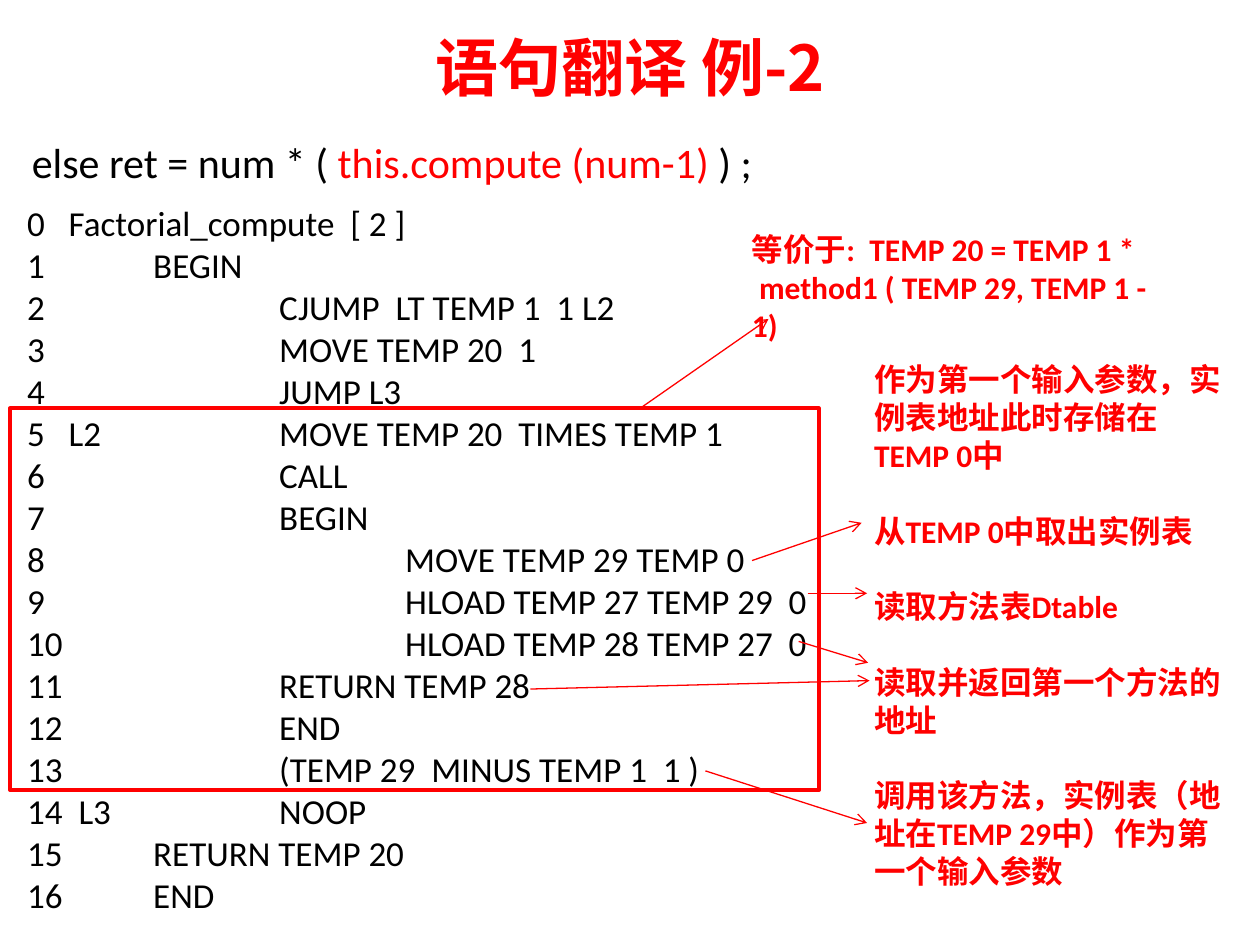
"""Build the slide on translating a statement into intermediate code."""
from lxml import etree
from pptx import Presentation
from pptx.dml.color import RGBColor
from pptx.enum.shapes import MSO_CONNECTOR, MSO_SHAPE
from pptx.enum.text import MSO_ANCHOR, MSO_AUTO_SIZE, PP_ALIGN
from pptx.oxml.ns import qn
from pptx.util import Cm, Pt

LINE, RECT = MSO_CONNECTOR.STRAIGHT, MSO_SHAPE.RECTANGLE
MIDDLE, CENTER = MSO_ANCHOR.MIDDLE, PP_ALIGN.CENTER
GROW, FIXED = MSO_AUTO_SIZE.SHAPE_TO_FIT_TEXT, MSO_AUTO_SIZE.NONE

RED, BLACK = RGBColor(255, 0, 0), RGBColor(0, 0, 0)
CJK, LATIN = "Noto Sans CJK SC", "Calibri"
THEME = {
    "title": {"name": CJK, "size": Pt(36), "bold": True, "color": RED},
    "source": {"name": LATIN, "size": Pt(24), "color": BLACK},
    "call": {"name": LATIN, "size": Pt(24), "color": RED},
    "code": {"name": LATIN, "size": Pt(20), "color": BLACK},
    "note": {"name": LATIN, "size": Pt(18), "bold": True, "color": RED},
}
FRAME_WIDTH, ARROW_WIDTH, NOTE_GAP = Pt(2), Pt(0.75), Pt(21.6)
TAB_STEP, TAB_COUNT = Cm(2.54), 3

TITLE = "语句翻译 例-2"
SOURCE = [(" else ret = num * ( ", "source"),
          ("this.compute (num-1) ", "call"), (") ;", "source")]
CODE = [
    "0   Factorial_compute  [ 2 ]",
    "1\tBEGIN",
    "2\t\tCJUMP  LT TEMP 1  1 L2",
    "3\t\tMOVE TEMP 20  1",
    "4\t\tJUMP L3",
    "5   L2\t\tMOVE TEMP 20  TIMES TEMP 1",
    "6\t\tCALL",
    "7\t\tBEGIN",
    "8\t\t\tMOVE TEMP 29 TEMP 0",
    "9\t\t\tHLOAD TEMP 27 TEMP 29  0",
    "10\t\t\tHLOAD TEMP 28 TEMP 27  0",
    "11\t\tRETURN TEMP 28",
    "12\t\tEND",
    "13\t\t(TEMP 29  MINUS TEMP 1  1 )",
    "14  L3 \t\tNOOP",
    "15\tRETURN TEMP 20",
    "16\tEND",
]
MEANING = ["等价于:  TEMP 20 = TEMP 1 *", " method1 ( TEMP 29, TEMP 1 - 1)"]
NOTES = [
    "作为第一个输入参数，实例表地址此时存储在TEMP 0中",
    "从TEMP 0中取出实例表",
    "读取方法表Dtable",
    "读取并返回第一个方法的地址",
    "调用该方法，实例表（地址在TEMP 29中）作为第一个输入参数",
]
PLACES = {
    "title": (1.27, 0.33, 22.86, 2.01),
    "code": (0.3, 3.94, 19.05, 14.96),
    "frame": (0.2, 8.23, 16.31, 7.7),
    "source": (0.2, 2.62, 19.76, 1.3),
    "meaning": (14.91, 4.52, 8.99, 1.8),
    "notes": (17.37, 7.14, 7.72, 11.02),
}
ARROWS = [
    (12.95, 8.2, 15.49, 6.43),
    (15.16, 11.3, 17.37, 10.54),
    (16.28, 11.96, 17.48, 11.96),
    (16.1, 12.93, 17.5, 13.36),
    (14.22, 15.54, 17.48, 16.59),
    (10.69, 13.89, 17.53, 13.72),
]


def place(name):
    return [Cm(part) for part in PLACES[name]]


def style(run, key):
    for name, value in THEME[key].items():
        if name == "color":
            run.font.color.rgb = value
        else:
            setattr(run.font, name, value)
    east = etree.SubElement(run.font._element, qn("a:ea"))
    east.set("typeface", CJK)


def set_tabs(para):
    stops = etree.SubElement(para._p.get_or_add_pPr(), qn("a:tabLst"))
    for step in range(1, TAB_COUNT + 1):
        stop = etree.SubElement(stops, qn("a:tab"))
        stop.set("pos", str(step * TAB_STEP))
        stop.set("algn", "l")


def write(frame, rows, gap=Pt(0)):
    for index, row in enumerate(rows):
        para = frame.add_paragraph() if index else frame.paragraphs[0]
        if index:
            para.space_before = gap
        for text, key in row:
            run = para.add_run()
            run.text = text
            style(run, key)


def add_text(slide, name, rows, gap=Pt(0)):
    frame = slide.shapes.add_textbox(*place(name)).text_frame
    frame.word_wrap, frame.auto_size = True, GROW
    write(frame, rows, gap)
    return frame


def add_title(slide):
    title = slide.shapes.title
    title.left, title.top, title.width, title.height = place("title")
    frame = title.text_frame
    frame.vertical_anchor, frame.auto_size = MIDDLE, FIXED
    write(frame, [[(TITLE, "title")]])
    frame.paragraphs[0].alignment = CENTER


def add_code(slide):
    frame = add_text(slide, "code", [[(line, "code")] for line in CODE])
    for para in frame.paragraphs:
        set_tabs(para)


def add_frame(slide):
    box = slide.shapes.add_shape(RECT, *place("frame"))
    box.shadow.inherit = False
    box.fill.background()
    box.line.color.rgb, box.line.width = RED, FRAME_WIDTH


def add_arrow(slide, ends):
    arrow = slide.shapes.add_connector(LINE, *[Cm(end) for end in ends])
    arrow.line.color.rgb, arrow.line.width = RED, ARROW_WIDTH
    tail = etree.SubElement(arrow.line._get_or_add_ln(), qn("a:tailEnd"))
    tail.set("type", "arrow")
    etree.SubElement(arrow._element.spPr, qn("a:effectLst"))


def main():
    deck = Presentation()
    deck.slide_width, deck.slide_height = Cm(25.4), Cm(19.05)
    slide = deck.slides.add_slide(deck.slide_layouts[5])
    add_title(slide)
    add_code(slide)
    add_frame(slide)
    add_text(slide, "source", [SOURCE])
    add_text(slide, "meaning", [[(line, "note")] for line in MEANING])
    add_text(slide, "notes", [[(line, "note")] for line in NOTES], NOTE_GAP)
    for ends in ARROWS:
        add_arrow(slide, ends)
    deck.save("out.pptx")


if __name__ == "__main__":
    main()
